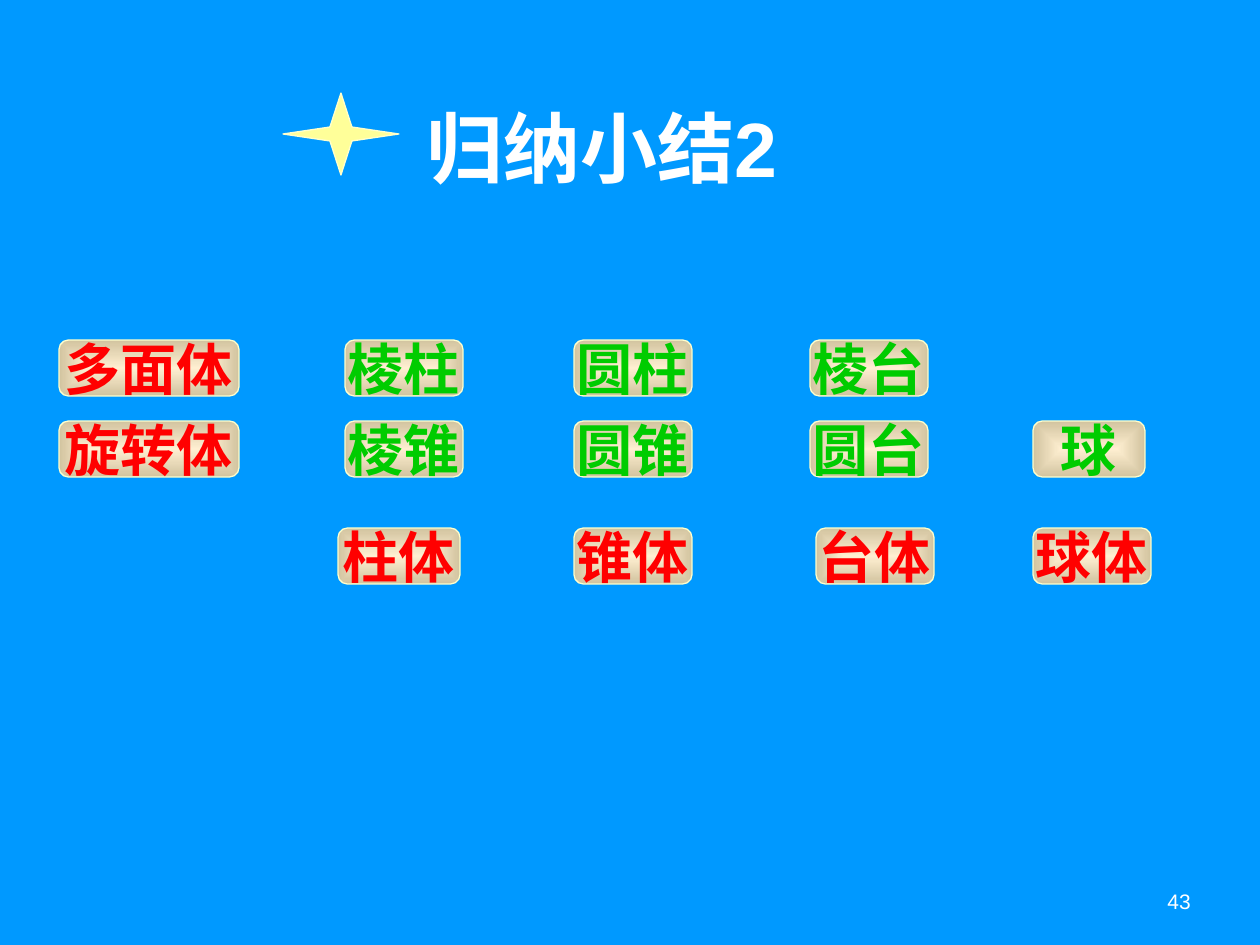
from dataclasses import dataclass

from lxml import etree
from pptx import Presentation
from pptx import util as u
from pptx.dml.color import RGBColor
from pptx.enum import shapes, text
from pptx.oxml.ns import qn

PX = u.Inches(1) / 126  # EMU in one px


def px(n):
    return u.Emu(round(n * PX))


@dataclass(frozen=True)
class Theme:
    font: str = "Arial"
    background: str = "0099FF"
    white: str = "FFFFFF"
    kind: str = "FF0000"
    solid: str = "00CC00"
    star: str = "FFFF99"
    border: str = "FFFFCC"
    label_inner: str = "FFEFD1"
    label_outer: str = "D1C39F"
    title_size: int = 44
    label_size: int = 32
    number_size: int = 12


class Deck:
    def __init__(self, theme):
        self.theme = theme
        self.prs = Presentation()
        self.prs.slide_width, self.prs.slide_height = px(1260), px(945)
        self.s = None

    def add_slide(self):
        self.s = self.prs.slides.add_slide(self.prs.slide_layouts[5])
        fill = self.s.background.fill
        fill.solid()
        fill.fore_color.rgb = RGBColor.from_string(self.theme.background)

    def add_words(self, tf, words, size, color, align, bold=True):
        p = tf.paragraphs[0]
        p.alignment = align
        r = p.add_run()
        r.text = words
        r.font.name, r.font.size, r.font.bold = self.theme.font, u.Pt(size), bold
        r.font.color.rgb = RGBColor.from_string(color)

    def outline(self, sp):
        sp.shadow.inherit = False
        sp.line.color.rgb = RGBColor.from_string(self.theme.border)
        sp.line.width = u.Pt(0.75)

    def title(self, words, x, y, w, h):
        sp = self.s.shapes.title
        sp.left, sp.top, sp.width, sp.height = map(px, (x, y, w, h))
        tf = sp.text_frame
        tf.auto_size = text.MSO_AUTO_SIZE.NONE
        tf.vertical_anchor = text.MSO_ANCHOR.TOP
        self.add_words(tf, words, self.theme.title_size, self.theme.white,
                       text.PP_ALIGN.CENTER)

    def star(self, cx, cy, rx, ry, notch_x, notch_y):
        tips = [(-rx, 0), (-notch_x, -notch_y), (0, -ry), (notch_x, -notch_y),
                (rx, 0), (notch_x, notch_y), (0, ry), (-notch_x, notch_y)]
        points = [(cx + dx, cy + dy) for dx, dy in tips]
        builder = self.s.shapes.build_freeform(*points[0], scale=PX)
        builder.add_line_segments(points[1:], close=True)
        sp = builder.convert_to_shape()
        sp.fill.solid()
        sp.fill.fore_color.rgb = RGBColor.from_string(self.theme.star)
        self.outline(sp)

    def label(self, words, color, x, y, w, h):
        sp = self.s.shapes.add_shape(shapes.MSO_SHAPE.ROUNDED_RECTANGLE,
                                     *map(px, (x, y, w, h)))
        self.outline(sp)
        # Gradient spreading from the centre
        sp.fill.gradient()
        ends = (self.theme.label_inner, self.theme.label_outer)
        for stop, end in zip(sp.fill.gradient_stops, ends):
            stop.color.rgb = RGBColor.from_string(end)
        grad = sp.element.spPr.find(qn("a:gradFill"))
        grad.remove(grad.find(qn("a:lin")))
        spread = etree.SubElement(grad, qn("a:path"), {"path": "rect"})
        etree.SubElement(spread, qn("a:fillToRect"),
                         {side: "50000" for side in "ltrb"})
        tf = sp.text_frame
        tf.word_wrap = False
        tf.vertical_anchor = text.MSO_ANCHOR.MIDDLE
        self.add_words(tf, words, self.theme.label_size, color,
                       text.PP_ALIGN.CENTER)

    def slide_number(self, words, x, y, w, h):
        tf = self.s.shapes.add_textbox(*map(px, (x, y, w, h))).text_frame
        tf.word_wrap = True
        tf.vertical_anchor = text.MSO_ANCHOR.MIDDLE
        tf.margin_left = tf.margin_right = u.Inches(0.05)
        self.add_words(tf, words, self.theme.number_size, self.theme.white,
                       text.PP_ALIGN.RIGHT, bold=False)


def main():
    theme = Theme()
    deck = Deck(theme)
    deck.add_slide()

    # Heading
    deck.star(341, 134, 58, 41, 11, 7)
    deck.title("归纳小结2", 364, 94, 476, 106)

    # Rows of labels: top, then (words, colour, left, width)
    wide, normal = 180, 118
    rows = [
        (340, [("多面体", theme.kind, 59, wide),
               ("棱柱", theme.solid, 345, normal),
               ("圆柱", theme.solid, 574, normal),
               ("棱台", theme.solid, 810, normal)]),
        (421, [("旋转体", theme.kind, 59, wide),
               ("棱锥", theme.solid, 345, normal),
               ("圆锥", theme.solid, 574, normal),
               ("圆台", theme.solid, 810, normal),
               ("球", theme.solid, 1033, 112)]),
        (528, [("柱体", theme.kind, 338, 122),
               ("锥体", theme.kind, 574, normal),
               ("台体", theme.kind, 816, normal),
               ("球体", theme.kind, 1033, normal)]),
    ]
    for top, labels in rows:
        for words, color, left, width in labels:
            deck.label(words, color, left, top, width, 56)

    # Footer
    deck.slide_number("43", 903, 876, 294, 50)

    deck.prs.save("out.pptx")


if __name__ == "__main__":
    main()
